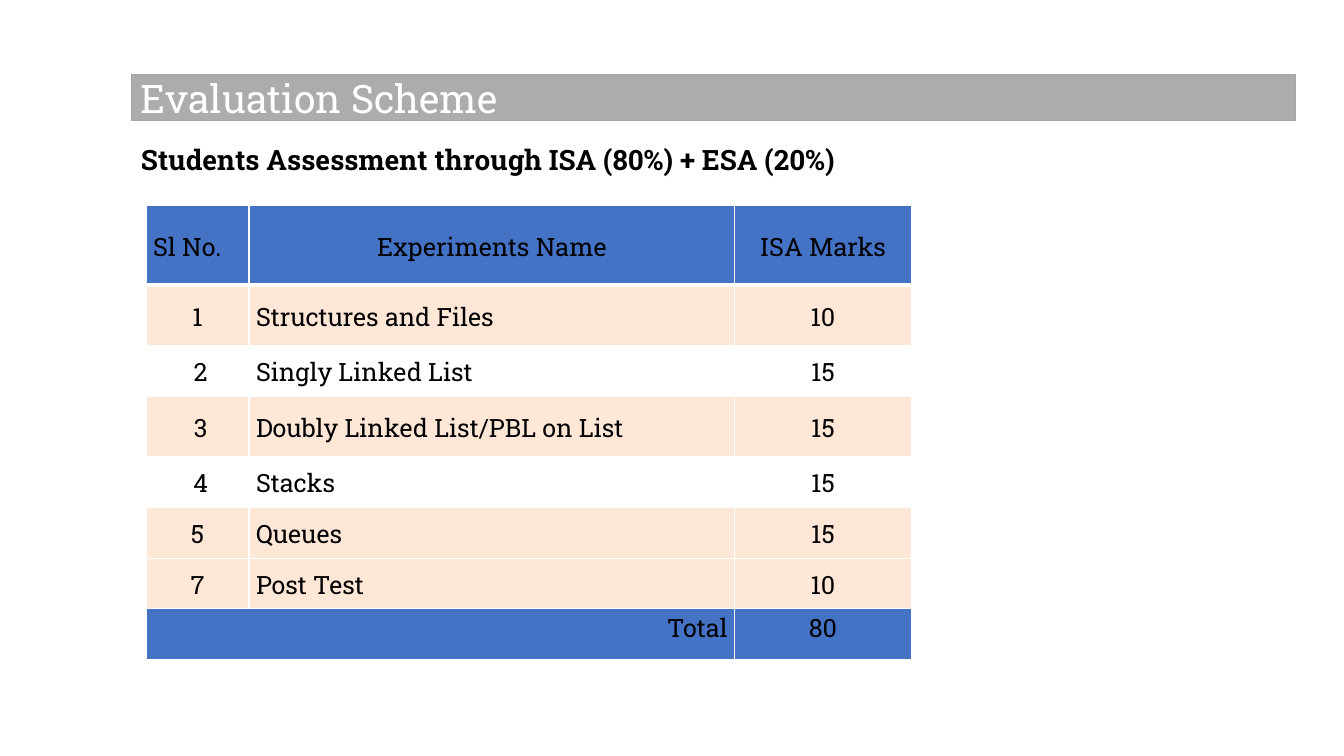
from dataclasses import dataclass

from lxml import etree
from pptx import Presentation
from pptx.dml.color import RGBColor
from pptx.enum.shapes import MSO_SHAPE
from pptx.enum.text import MSO_ANCHOR, PP_ALIGN
from pptx.oxml.ns import qn
from pptx.util import Pt

RECTANGLE = MSO_SHAPE.RECTANGLE
TOP, MIDDLE = MSO_ANCHOR.TOP, MSO_ANCHOR.MIDDLE
LEFT, CENTER, RIGHT = PP_ALIGN.LEFT, PP_ALIGN.CENTER, PP_ALIGN.RIGHT


@dataclass(frozen=True)
class Theme:
    font: str = "Roboto Slab"
    ink: str = "000000"
    paper: str = "FFFFFF"
    banner: str = "AEABAB"
    banner_line: str = "A5A5A5"
    accent: str = "4472C4"
    band: str = "FFE7D7"
    title_size: float = 28
    subtitle_size: float = 20
    table_size: float = 18
    thin: float = 1
    thick: float = 3


@dataclass(frozen=True)
class Box:
    left: float
    top: float
    width: float
    height: float

    def lengths(self):
        return [Pt(value) for value in (self.left, self.top, self.width, self.height)]


THEME = Theme()
HEADINGS = ["Sl No.", "Experiments Name", "ISA Marks"]
EXPERIMENTS = [
    ("1", "Structures and Files", 10),
    ("\u00a02", "Singly Linked List", 15),
    ("\u00a03", "Doubly Linked List/PBL on List", 15),
    ("\u00a04", "Stacks", 15),
    ("5", "Queues", 15),
    ("7", "Post Test", 10),
]
PLAIN_ROWS = (2, 4)
COLUMN_WIDTHS = [73.5, 347, 126]
ROW_HEIGHTS = [56.9, 43.2, 36, 43.2, 36, 36.7, 36, 36]


def color(code):
    return RGBColor.from_string(code)


def write(frame, text, size, ink, align=LEFT, bold=False):
    frame.text = text
    para = frame.paragraphs[0]
    para.alignment = align
    for span in para.runs:
        span.font.name = THEME.font
        span.font.size = Pt(size)
        span.font.bold = bold
        span.font.color.rgb = color(ink)
    return para


def add_banner(page, box, text):
    banner = page.shapes.add_shape(RECTANGLE, *box.lengths())
    banner.shadow.inherit = False
    banner.fill.solid()
    banner.fill.fore_color.rgb = color(THEME.banner)
    banner.line.color.rgb = color(THEME.banner_line)
    banner.line.width = Pt(0.75)
    banner.text_frame.vertical_anchor = MIDDLE
    write(banner.text_frame, text, THEME.title_size, THEME.paper)


def add_subtitle(page, box, text):
    frame = page.shapes.add_textbox(*box.lengths()).text_frame
    frame.word_wrap = True
    write(frame, text, THEME.subtitle_size, THEME.ink, bold=True)


def set_borders(cell, top, bottom):
    properties = cell._tc.get_or_add_tcPr()
    sides = [("lnL", THEME.thin), ("lnR", THEME.thin), ("lnT", top), ("lnB", bottom)]
    for position, (side, width) in enumerate(sides):
        line = etree.Element(qn(f"a:{side}"), w=str(Pt(width)))
        fill = etree.SubElement(line, qn("a:solidFill"))
        etree.SubElement(fill, qn("a:srgbClr"), val=THEME.paper)
        properties.insert(position, line)


def fill_cell(cell, text, align, fill, anchor):
    cell.margin_left = cell.margin_right = Pt(5)
    cell.margin_top = cell.margin_bottom = Pt(0)
    cell.vertical_anchor = anchor
    cell.fill.solid()
    cell.fill.fore_color.rgb = color(fill)
    para = write(cell.text_frame, text, THEME.table_size, THEME.ink, align)
    para.line_spacing = 1.07


def add_marks_table(page, box):
    total = sum(marks for _, _, marks in EXPERIMENTS)
    rows = [HEADINGS, *EXPERIMENTS, ("Total", "", total)]
    last = len(rows) - 1
    table = page.shapes.add_table(len(rows), len(HEADINGS), *box.lengths()).table
    for column, width in zip(table.columns, COLUMN_WIDTHS):
        column.width = Pt(width)
    for row, height in zip(table.rows, ROW_HEIGHTS):
        row.height = Pt(height)
    for number, values in enumerate(rows):
        aligns, fill, anchor = (CENTER, LEFT, CENTER), THEME.band, MIDDLE
        if number == 0:
            aligns, fill = (LEFT, CENTER, CENTER), THEME.accent
        elif number == last:
            aligns, fill, anchor = (RIGHT, LEFT, CENTER), THEME.accent, TOP
        elif number in PLAIN_ROWS:
            fill = THEME.paper
        top = THEME.thick if number == 1 else THEME.thin
        bottom = THEME.thick if number == 0 else THEME.thin
        for index, (value, align) in enumerate(zip(values, aligns)):
            cell = table.cell(number, index)
            fill_cell(cell, str(value), align, fill, anchor)
            set_borders(cell, top, bottom)
    table.cell(last, 0).merge(table.cell(last, 1))


def build_evaluation_slide(page, box):
    left = box.left + 93.6
    add_marks_table(page, Box(left + 10.8, box.top + 146.9,
                              sum(COLUMN_WIDTHS), sum(ROW_HEIGHTS)))
    add_banner(page, Box(left, box.top + 53.3, 831.6, 33.1), "Evaluation Scheme")
    add_subtitle(page, Box(left, box.top + 97.9, 566.6, 31.7),
                 "Students Assessment through ISA (80%) + ESA (20%)")


deck = Presentation()
deck.slide_width, deck.slide_height = Pt(960), Pt(540)
blank = deck.slide_layouts[6]
build_evaluation_slide(deck.slides.add_slide(blank), Box(0, 0, 960, 540))
deck.save("out.pptx")
